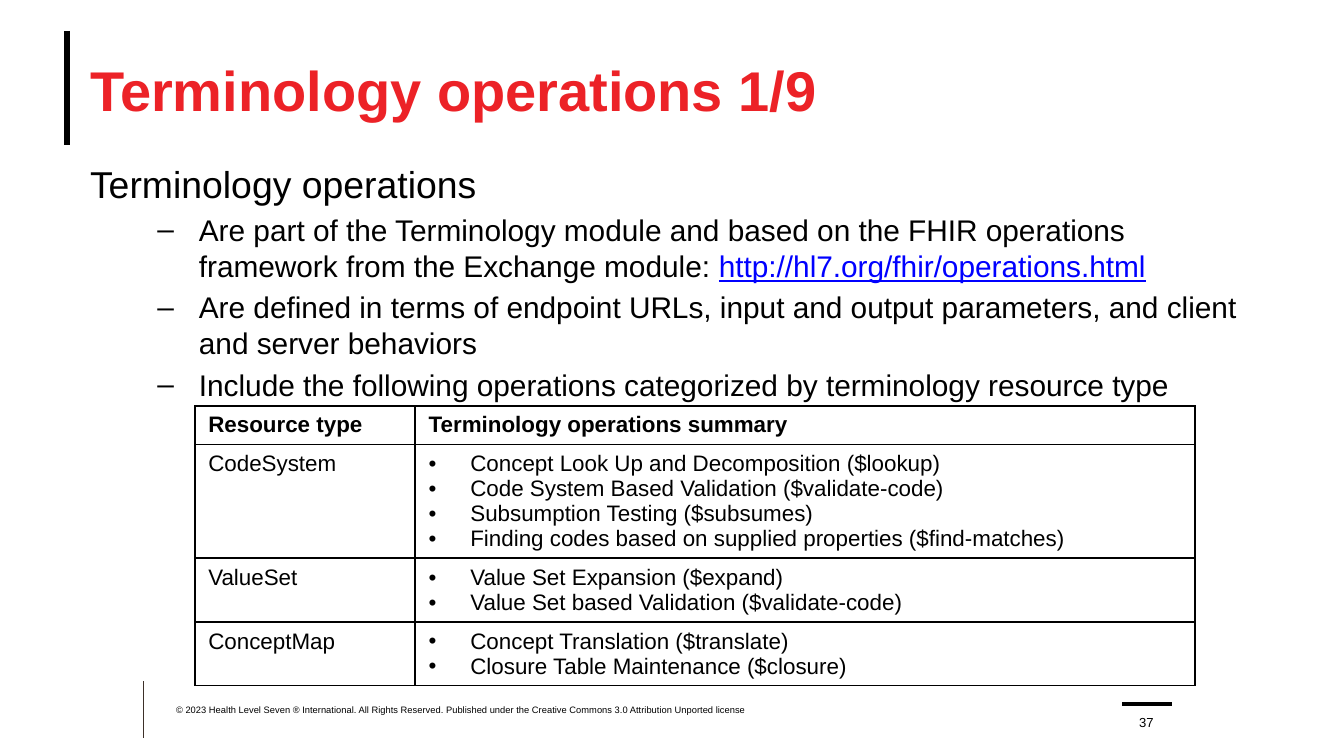
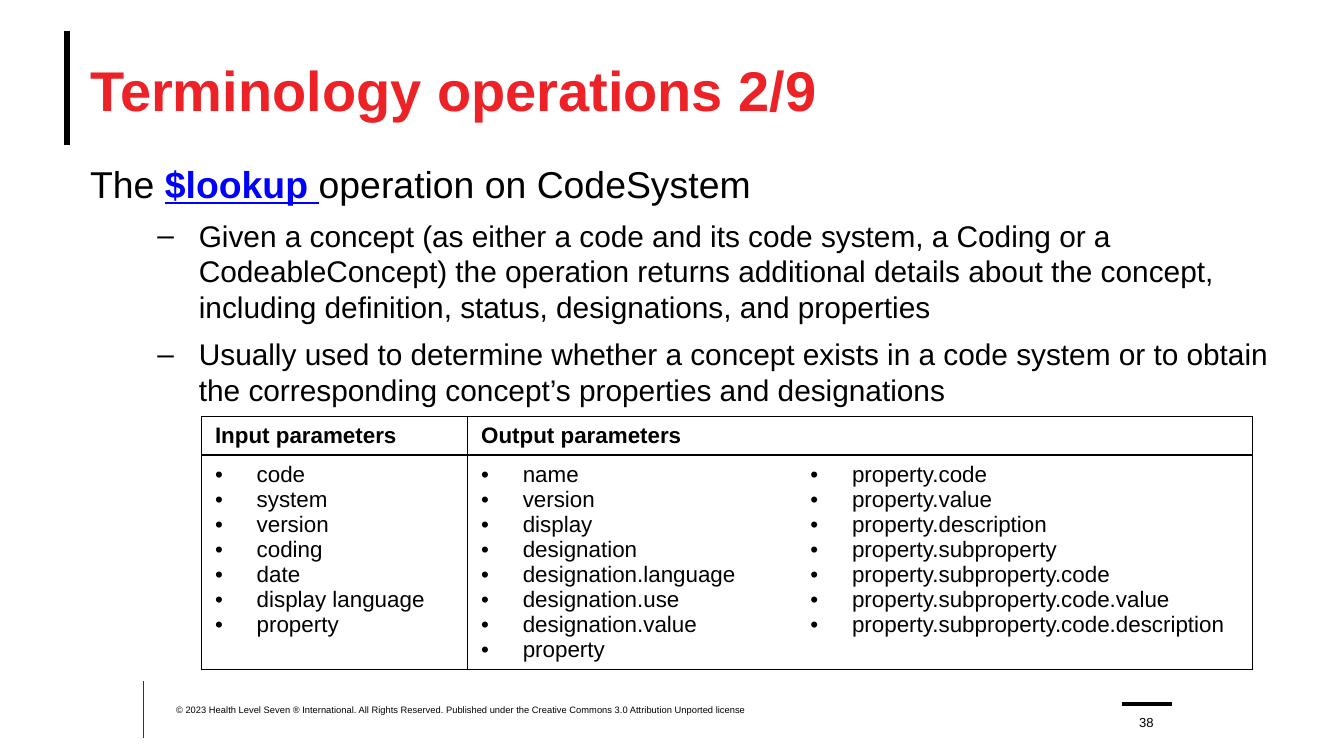
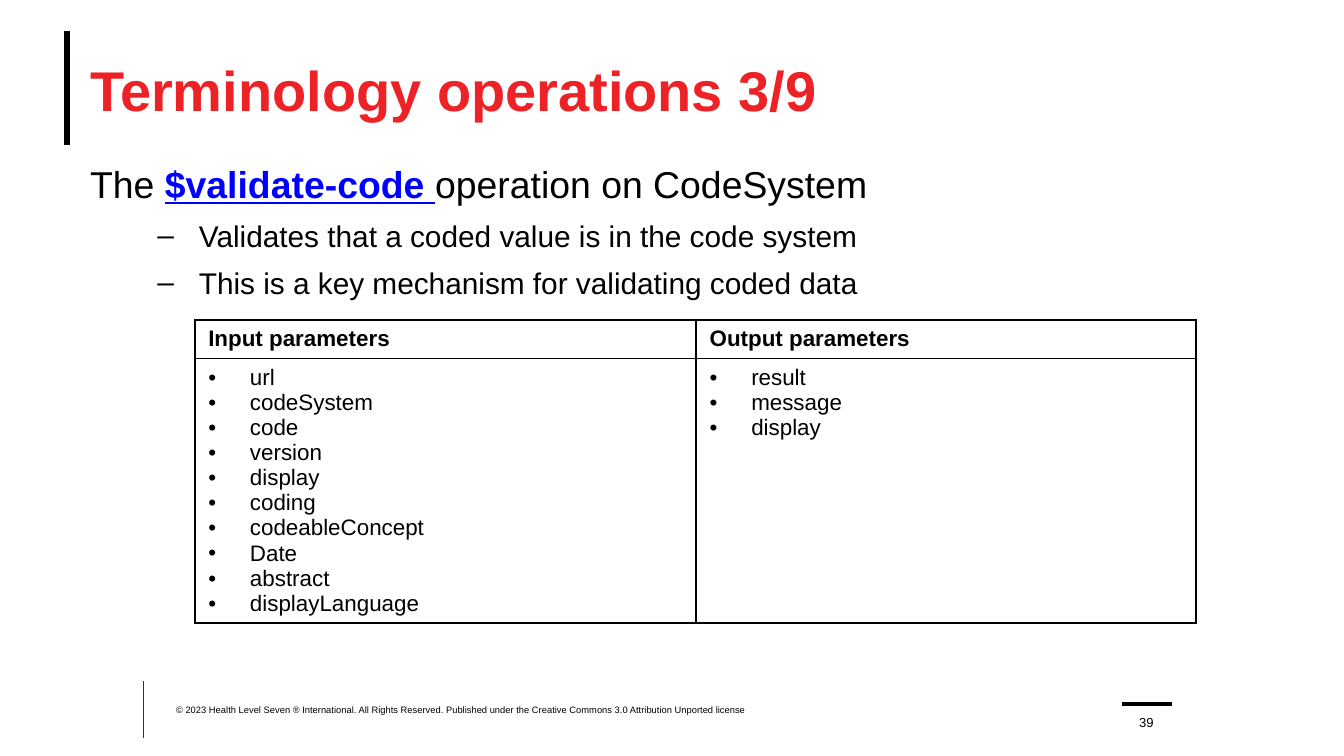
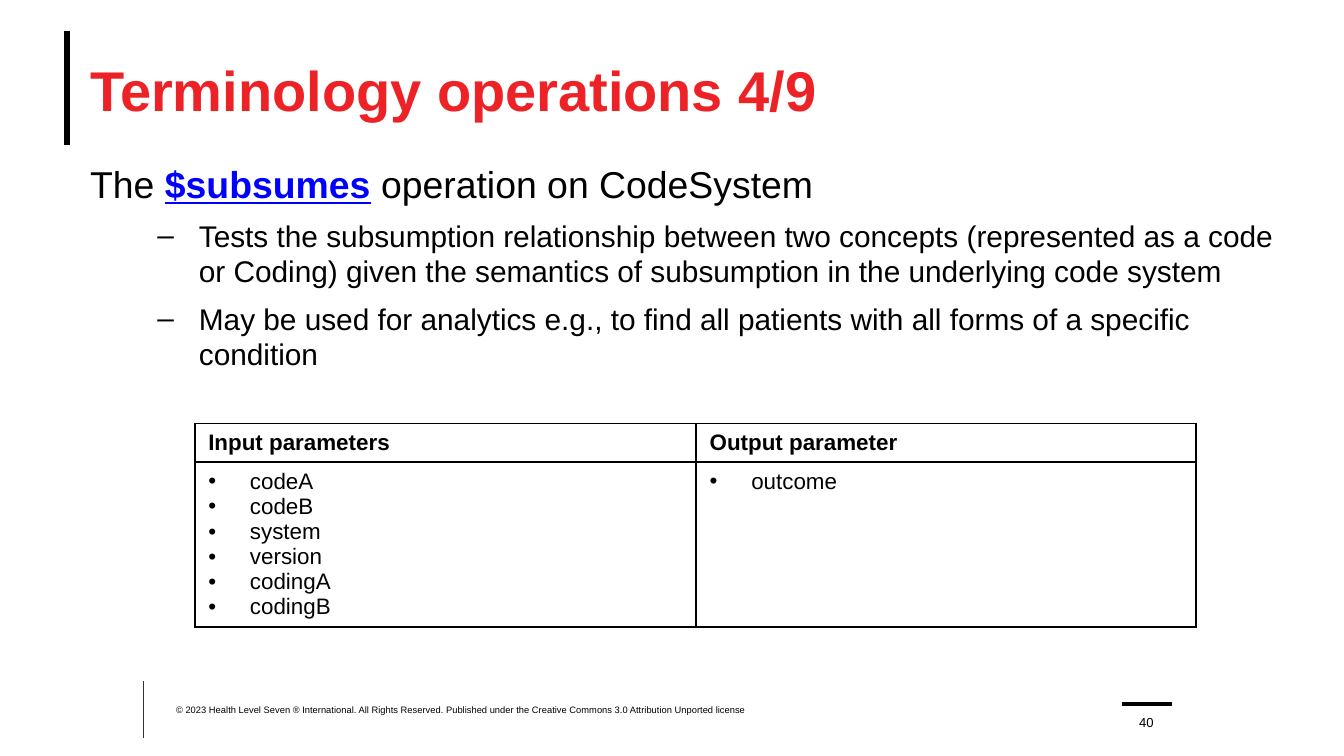
from dataclasses import dataclass
from typing import Optional, Union

from lxml import etree
from pptx import Presentation
from pptx.dml.color import RGBColor
from pptx.enum import shapes, text
from pptx.oxml import ns
from pptx.util import Inches, Pt

COLOURS = {"black": "000000", "red": "EC2227", "blue": "0000FF", "brown": "3D3029"}
FONT = "Arial"
FIRST_PAGE = 37
INDENT = 0.31
COPYRIGHT = (
    "© 2023 Health Level Seven ® International. All Rights Reserved. "
    "Published under the Creative Commons 3.0 Attribution Unported license"
)


@dataclass(frozen=True)
class Rule:
    start: tuple[float, float]
    end: tuple[float, float]
    weight: float
    colour: str = "black"


@dataclass(frozen=True)
class Span:
    text: str
    link: bool = False
    bold: Optional[bool] = None


@dataclass(frozen=True)
class Style:
    size: float
    colour: str = "black"
    bold: bool = False
    align: text.PP_ALIGN = text.PP_ALIGN.LEFT
    bullet: str = ""
    margin: float = 0
    before: float = 0


Cell = Union[str, list[str]]


@dataclass(frozen=True)
class Grid:
    left: float
    top: float
    height: float
    columns: tuple[float, ...]
    row_heights: tuple[float, ...]
    header: tuple[str, ...]
    rows: tuple[tuple[Cell, ...], ...]


@dataclass(frozen=True)
class Page:
    heading: tuple[Span, ...]
    points: tuple[tuple[Span, ...], ...]
    grid: Grid
    body_width: float = 9
    gap: float = 6


RULES = (
    Rule((0.5, 0.23), (0.5, 1.08), 3.25),
    Rule((1.07, 5.07), (1.07, 5.49), 0.5, "brown"),
    Rule((8.35, 5.24), (8.72, 5.24), 2),
)
TITLE = Style(30, "red", bold=True)
HEADING = Style(20)
FOOTER = Style(5)
PAGE_NUMBER = Style(7, align=text.PP_ALIGN.CENTER)
CELL_HEADER = Style(12, bold=True)
CELL_LABEL = Style(12)
CELL_BULLET = Style(12, bullet="•", margin=INDENT)


def operation(name: str, gap: str = "") -> tuple[Span, ...]:
    link = [Span(name, link=True, bold=True)]
    if gap:
        link.append(Span(gap, link=True))
    tail = "operation on CodeSystem" if gap else " operation on CodeSystem"
    return (Span("The "), *link, Span(tail))


PAGES = (
    Page(
        (Span("Terminology operations"),),
        (
            (
                Span("Are part of the Terminology module and based on the FHIR operations "
                     "framework from the Exchange module: "),
                Span("http://hl7.org/fhir/operations.html", link=True),
            ),
            (Span("Are defined in terms of endpoint URLs, input and output parameters, "
                  "and client and server behaviors"),),
            (Span("Include the following operations categorized by terminology resource type"),),
        ),
        Grid(
            1.45, 3.02, 2.2, (1.64, 5.8), (0.19, 0.41, 0.41, 0.41),
            ("Resource type", "Terminology operations summary"),
            (
                ("CodeSystem", [
                    "Concept Look Up and Decomposition ($lookup)",
                    "Code System Based Validation ($validate-code)",
                    "Subsumption Testing ($subsumes)",
                    "Finding codes based on supplied properties ($find-matches)",
                ]),
                ("ValueSet", [
                    "Value Set Expansion ($expand)",
                    "Value Set based Validation ($validate-code)",
                ]),
                ("ConceptMap", [
                    "Concept Translation ($translate)",
                    "Closure Table Maintenance ($closure)",
                ]),
            ),
        ),
        body_width=8.65,
        gap=3,
    ),
    Page(
        operation("$lookup", " "),
        (
            (Span("Given a concept (as either a code and its code system, a Coding or a "
                  "CodeableConcept) the operation returns additional details about the "
                  "concept, including definition, status, designations, and properties"),),
            (Span("Usually used to determine whether a concept exists in a code system or to "
                  "obtain the corresponding concept’s properties and designations"),),
        ),
        Grid(
            1.5, 3.1, 2, (1.98, 2.45, 3.39), (0, 0.41),
            ("Input parameters", "Output parameters"),
            ((
                ["code", "system", "version", "coding", "date", "display language", "property"],
                ["name", "version", "display", "designation", "designation.language",
                 "designation.use", "designation.value", "property"],
                ["property.code", "property.value", "property.description",
                 "property.subproperty", "property.subproperty.code",
                 "property.subproperty.code.value", "property.subproperty.code.description"],
            ),),
        ),
    ),
    Page(
        operation("$validate-code", " "),
        (
            (Span("Validates that a coded value is in the code system"),),
            (Span("This is a key mechanism for validating coded data"),),
        ),
        Grid(
            1.45, 2.38, 2.4, (3.73, 3.72), (0.23, 1.83),
            ("Input parameters", "Output parameters"),
            ((
                ["url", "codeSystem", "code", "version", "display", "coding",
                 "codeableConcept", "Date", "abstract", "displayLanguage"],
                ["result", "message", "display"],
            ),),
        ),
    ),
    Page(
        operation("$subsumes"),
        (
            (Span("Tests the subsumption relationship between two concepts (represented as a "
                  "code or Coding) given the semantics of subsumption in the underlying code "
                  "system"),),
            (Span("May be used for analytics e.g., to find all patients with all forms of a "
                  "specific condition"),),
        ),
        Grid(
            1.45, 3.15, 1.6, (3.73, 3.72), (0.18, 1.23),
            ("Input parameters", "Output parameter"),
            ((["codeA", "codeB", "system", "version", "codingA", "codingB"], ["outcome"]),),
        ),
    ),
)


def colour(name: str) -> RGBColor:
    return RGBColor.from_string(COLOURS[name])


def write(para, spans: tuple[Span, ...], style: Style) -> None:
    para.alignment = style.align
    para.line_spacing = 1.0
    para.space_before = Pt(style.before)
    para.space_after = Pt(0)
    properties = para._p.get_or_add_pPr()
    properties.set("marL", str(Inches(style.margin)))
    properties.set("indent", str(Inches(-INDENT if style.bullet else 0)))
    if style.bullet:
        etree.SubElement(properties, ns.qn("a:buFont")).set("typeface", FONT)
        etree.SubElement(properties, ns.qn("a:buChar")).set("char", style.bullet)
    else:
        etree.SubElement(properties, ns.qn("a:buNone"))
    para.font.name = FONT
    para.font.size = Pt(style.size)
    para.font.bold = style.bold
    para.font.color.rgb = colour(style.colour)
    for span in spans:
        run = para.add_run()
        run.text = span.text
        if span.bold is not None:
            run.font.bold = span.bold
        if span.link:
            run.font.underline = True
            run.font.color.rgb = colour("blue")


def fill_frame(frame, lines: list[tuple[tuple[Span, ...], Style]]) -> None:
    for index, (spans, style) in enumerate(lines):
        para = frame.add_paragraph() if index else frame.paragraphs[0]
        write(para, spans, style)


def place(box, left: float, top: float, width: float, height: float, anchor) -> None:
    box.left, box.top = Inches(left), Inches(top)
    box.width, box.height = Inches(width), Inches(height)
    frame = box.text_frame
    frame.word_wrap = True
    frame.auto_size = text.MSO_AUTO_SIZE.NONE
    frame.vertical_anchor = anchor
    frame.margin_left = frame.margin_right = frame.margin_top = frame.margin_bottom = 0


def draw_rule(slide, rule: Rule) -> None:
    points = [Inches(value) for value in (*rule.start, *rule.end)]
    line = slide.shapes.add_connector(shapes.MSO_CONNECTOR.STRAIGHT, *points)
    line.line.color.rgb = colour(rule.colour)
    line.line.width = Pt(rule.weight)
    etree.SubElement(line._element.spPr, ns.qn("a:effectLst"))


def border_cell(cell, hidden: str) -> None:
    cell.fill.background()
    properties = cell._tc.get_or_add_tcPr()
    for index, side in enumerate("LRTB"):
        line = etree.Element(ns.qn(f"a:ln{side}"), w=str(Pt(1)))
        if side in hidden:
            etree.SubElement(line, ns.qn("a:noFill"))
        else:
            fill = etree.SubElement(line, ns.qn("a:solidFill"))
            etree.SubElement(fill, ns.qn("a:srgbClr")).set("val", COLOURS["black"])
        properties.insert(index, line)


def draw_grid(slide, grid: Grid) -> None:
    columns = len(grid.columns)
    graphic = slide.shapes.add_table(
        len(grid.row_heights), columns, Inches(grid.left), Inches(grid.top),
        Inches(sum(grid.columns)), Inches(grid.height),
    )
    table = graphic.table
    table.first_row = table.horz_banding = False
    for column, width in zip(table.columns, grid.columns):
        column.width = Inches(width)
    for row, height in zip(table.rows, grid.row_heights):
        row.height = Inches(height)
    graphic.height = Inches(grid.height)

    last_header = len(grid.header) - 1
    for row_index in range(len(grid.row_heights)):
        for column_index in range(columns):
            hidden = ""
            if row_index and last_header < columns - 1:
                hidden = {last_header: "R", columns - 1: "L"}.get(column_index, "")
            border_cell(table.cell(row_index, column_index), hidden)
    if last_header < columns - 1:
        table.cell(0, last_header).merge(table.cell(0, columns - 1))

    for column_index, label in enumerate(grid.header):
        fill_frame(table.cell(0, column_index).text_frame, [((Span(label),), CELL_HEADER)])
    for row_index, row in enumerate(grid.rows, start=1):
        for column_index, content in enumerate(row):
            style = CELL_BULLET if isinstance(content, list) else CELL_LABEL
            items = content if isinstance(content, list) else [content]
            frame = table.cell(row_index, column_index).text_frame
            fill_frame(frame, [((Span(item),), style) for item in items])


def add_label(slide, words: str, style: Style, area: tuple[float, ...], anchor) -> None:
    box = slide.shapes.add_textbox(0, 0, 0, 0)
    place(box, *area, anchor)
    fill_frame(box.text_frame, [((Span(words),), style)])


def build_page(deck, page: Page, number: int) -> None:
    slide = deck.slides.add_slide(deck.slide_layouts[1])
    for rule in RULES:
        draw_rule(slide, rule)
    title, body = slide.placeholders
    place(title, 0.67, 0.23, 9, 0.86, text.MSO_ANCHOR.MIDDLE)
    fill_frame(title.text_frame, [((Span(f"Terminology operations {number}/9"),), TITLE)])
    place(body, 0.67, 1.2, page.body_width, 3.89, text.MSO_ANCHOR.TOP)
    point = Style(16, bullet="–", margin=0.81, before=page.gap)
    fill_frame(body.text_frame, [(page.heading, HEADING)] + [(spans, point) for spans in page.points])
    for para in body.text_frame.paragraphs[1:]:
        para.level = 1
    add_label(slide, COPYRIGHT, FOOTER, (1.31, 5.24, 4.95, 0.17), text.MSO_ANCHOR.TOP)
    add_label(slide, str(FIRST_PAGE + number - 1), PAGE_NUMBER,
              (8.38, 5.26, 0.3, 0.17), text.MSO_ANCHOR.BOTTOM)
    draw_grid(slide, page.grid)


def main() -> None:
    deck = Presentation()
    deck.slide_width = Inches(10)
    deck.slide_height = deck.slide_width * 9 // 16
    for number, page in enumerate(PAGES, start=1):
        build_page(deck, page, number)
    deck.save("out.pptx")


if __name__ == "__main__":
    main()
